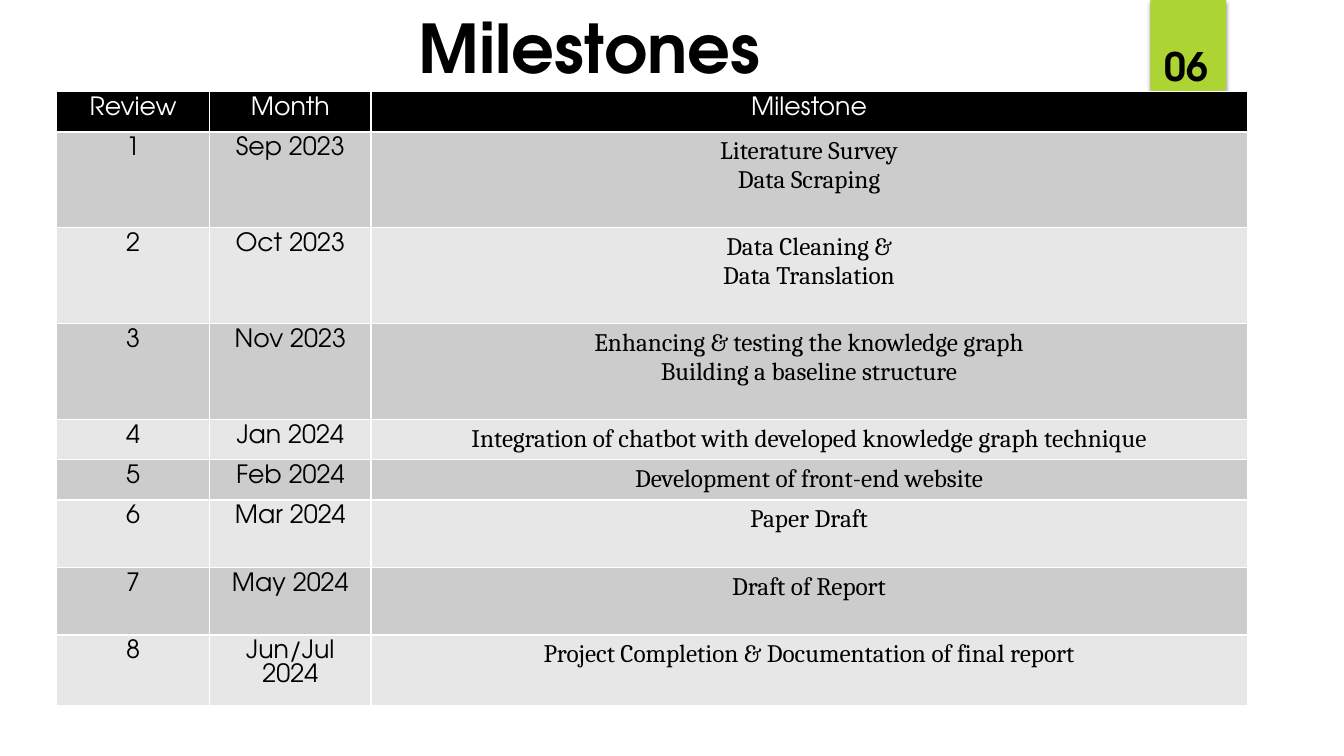
from lxml.etree import SubElement as Sub
from pptx import Presentation
from pptx.dml.color import RGBColor as Rgb
from pptx.enum.shapes import MSO_SHAPE as Kind
from pptx.enum.text import MSO_ANCHOR as Anchor, PP_ALIGN as Align
from pptx.oxml import parse_xml
from pptx.oxml.ns import nsdecls, qn
from pptx.util import Inches, Pt

HEX = {"black": "000000", "white": "FFFFFF", "lime": "ACD433",
       "odd": "CCCCCC", "even": "E7E7E7", "sky": "7AC4F0"}
SANS, SERIF = "TeX Gyre Adventor", "Cambria"
TITLE, PAGE = "Milestones", "06"
HEAD = ("Review", "Month", "Milestone")
PLAN = [
    ("Sep 2023", ["Literature Survey", "Data Scraping"], 0.95),
    ("Oct 2023", ["Data Cleaning &", "Data Translation"], 0.95),
    ("Nov 2023", ["Enhancing & testing the knowledge graph",
                  "Building a baseline structure"], 0.95),
    ("Jan 2024", ["Integration of chatbot with developed knowledge graph technique"], 0.38),
    ("Feb 2024", ["Development of front-end website"], 0.38),
    ("Mar 2024", ["Paper Draft"], 0.67),
    ("May 2024", ["Draft of Report"], 0.67),
    ("Jun/Jul 2024", ["Project Completion & Documentation of final report"], 0.67),
]
COLS = (1.52, 1.6, 8.69)
TOP = 0.38
GLOW = [(0, 7), (36, 6), (69, 0)]


def write(frame, lines, size=18, font=SANS, color="black", bold=False,
          align=Align.CENTER):
    frame.word_wrap = True
    for i, line in enumerate(lines):
        para = frame.paragraphs[0] if i == 0 else frame.add_paragraph()
        para.alignment = align
        run = para.add_run()
        run.text = line
        run.font.size = Pt(size)
        run.font.name = font
        run.font.bold = bold
        run.font.color.rgb = Rgb.from_string(HEX[color])


def box(slide, area, text, **style):
    shape = slide.shapes.add_textbox(*map(Inches, area))
    shape.text_frame.vertical_anchor = Anchor.TOP
    write(shape.text_frame, [text], **style)


def form(slide, kind, area, color):
    shape = slide.shapes.add_shape(kind, *map(Inches, area))
    shape.shadow.inherit = False
    shape.fill.solid()
    shape.fill.fore_color.rgb = Rgb.from_string(HEX[color])
    shape.line.fill.background()
    return shape


def glow(shape):
    stops = "".join(
        f'<a:gs pos="{pos * 1000}"><a:srgbClr val="{HEX["sky"]}">'
        f'<a:alpha val="{alpha * 1000}"/></a:srgbClr></a:gs>' for pos, alpha in GLOW)
    props = shape.element.spPr
    fill = parse_xml(
        f'<a:gradFill {nsdecls("a")}><a:gsLst>{stops}</a:gsLst><a:path path="circle">'
        '<a:fillToRect l="50000" t="50000" r="50000" b="50000"/></a:path></a:gradFill>')
    props.replace(props.find(qn("a:solidFill")), fill)


def shade(shape):
    group = shape.element.spPr.find(qn("a:effectLst"))
    outer = Sub(group, qn("a:outerShdw"), blurRad=str(Pt(3)), dist=str(Pt(2)),
                dir="5400000", rotWithShape="0")
    tone = Sub(outer, qn("a:srgbClr"), val=HEX["black"])
    Sub(tone, qn("a:alpha"), val="45000")


def paint(cell, color):
    props = cell._tc.get_or_add_tcPr()
    for side in "LRTB":
        line = Sub(props, qn(f"a:ln{side}"), w=str(Pt(1)))
        Sub(Sub(line, qn("a:solidFill")), qn("a:srgbClr"), val=HEX["white"])
    cell.fill.solid()
    cell.fill.fore_color.rgb = Rgb.from_string(HEX[color])


def grid(slide):
    tall = [TOP] + [row[2] for row in PLAN]
    area = (0.56, 0.91, sum(COLS), sum(tall))
    table = slide.shapes.add_table(len(tall), len(COLS), *map(Inches, area)).table
    for col, width in zip(table.columns, COLS):
        col.width = Inches(width)
    for row, height in zip(table.rows, tall):
        row.height = Inches(height)
    rows = [[[name] for name in HEAD]]
    rows += [[[str(i)], [month], goals] for i, (month, goals, _) in enumerate(PLAN, 1)]
    for r, row in enumerate(rows):
        fill = "black" if r == 0 else ("even", "odd")[r % 2]
        for c, lines in enumerate(row):
            cell = table.cell(r, c)
            paint(cell, fill)
            write(cell.text_frame, lines, font=SERIF if r and c == 2 else SANS,
                  color="black" if r else "white")


def main():
    deck = Presentation()
    deck.slide_width, deck.slide_height = Inches(13.33), Inches(7.5)
    slide = deck.slides.add_slide(deck.slide_layouts[6])
    glow(form(slide, Kind.OVAL, (9.41, 1.83, 3.08, 3.08), "sky"))
    shade(form(slide, Kind.RECTANGLE, (11.41, 0, 0.75, 1.25), "lime"))
    box(slide, (0.7, 0.01, 10.29, 1.53), TITLE, size=48, bold=True)
    grid(slide)
    box(slide, (11.45, 0.37, 0.82, 0.57), PAGE, size=28, bold=True, align=Align.LEFT)
    deck.save("out.pptx")


if __name__ == "__main__":
    main()
